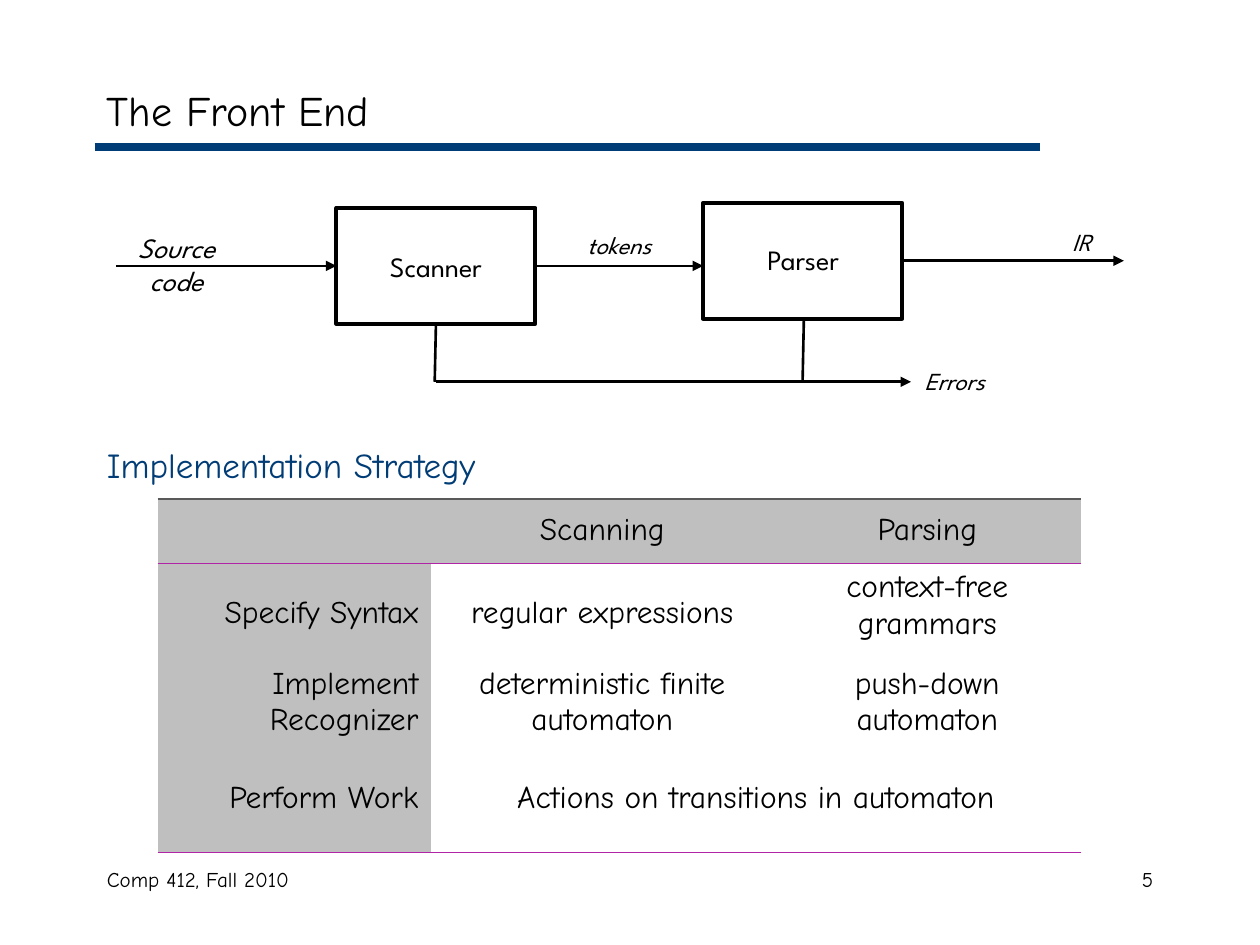
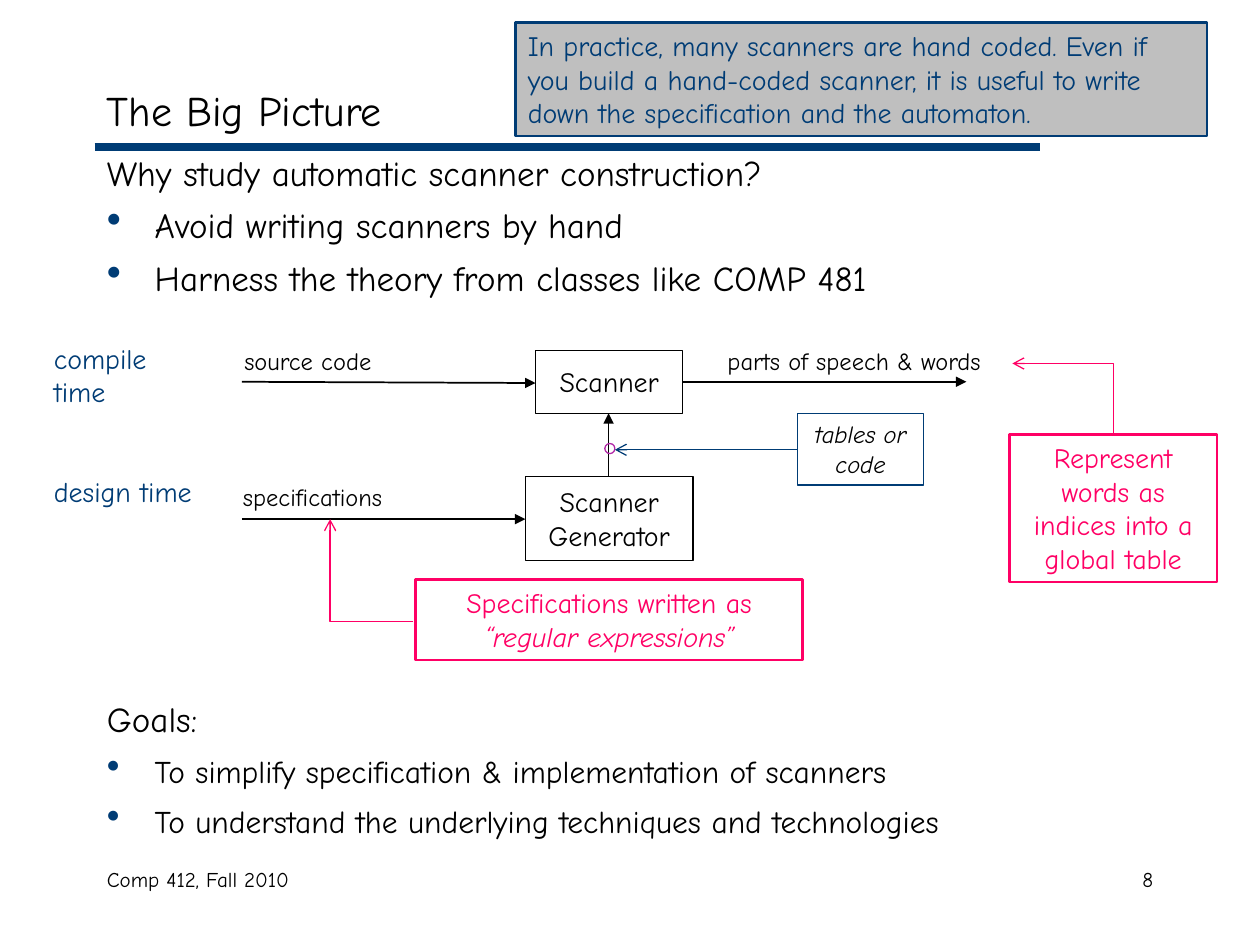
from dataclasses import dataclass
from typing import Optional

from lxml.etree import SubElement
from pptx import Presentation
from pptx.dml.color import RGBColor
from pptx.enum.shapes import MSO_CONNECTOR, MSO_SHAPE
from pptx.enum.text import MSO_ANCHOR, PP_ALIGN
from pptx.oxml.ns import qn
from pptx.util import Inches, Pt

BLACK = RGBColor(0x00, 0x00, 0x00)
WHITE = RGBColor(0xFF, 0xFF, 0xFF)
GRAY = RGBColor(0xBF, 0xBF, 0xBF)
DARK_GRAY = RGBColor(0x59, 0x59, 0x59)
NAVY = RGBColor(0x00, 0x3C, 0x75)
PINK = RGBColor(0xFF, 0x00, 0x65)
PURPLE = RGBColor(0xB0, 0x25, 0xA6)

HAND = "Comic Neue"
GEOMETRIC = "League Spartan"
LEFT, CENTER, RIGHT = PP_ALIGN.LEFT, PP_ALIGN.CENTER, PP_ALIGN.RIGHT


@dataclass
class Label:
    """Text in a box; each line is a paragraph."""
    text: str
    left: float
    top: float
    width: float
    height: float
    size: float = 16
    font: str = HAND
    color: RGBColor = BLACK
    align: PP_ALIGN = LEFT
    anchor: MSO_ANCHOR = MSO_ANCHOR.TOP
    italic: bool = False
    wrap: bool = True


@dataclass
class Box(Label):
    """A label with an outline and perhaps a fill."""
    line: RGBColor = BLACK
    weight: float = 0.75
    fill: Optional[RGBColor] = None
    shape: MSO_SHAPE = MSO_SHAPE.RECTANGLE


@dataclass
class Link:
    x1: float
    y1: float
    x2: float
    y2: float
    color: RGBColor = BLACK
    weight: float = 1
    head: Optional[str] = "triangle"
    turn: Optional[int] = None  # rotation of a one-bend connector


def style(paragraph, size: float, font: str = HAND, color: RGBColor = BLACK,
          italic: bool = False) -> None:
    paragraph.font.size = Pt(size)
    paragraph.font.name = font
    paragraph.font.color.rgb = color
    paragraph.font.italic = italic


def write(frame, label: Label) -> None:
    frame.word_wrap = label.wrap
    frame.vertical_anchor = label.anchor
    for i, line in enumerate(label.text.split("\n")):
        paragraph = frame.paragraphs[0] if i == 0 else frame.add_paragraph()
        paragraph.add_run().text = line
        paragraph.alignment = label.align
        style(paragraph, label.size, label.font, label.color, label.italic)


def bounds(label: Label) -> list:
    return [Inches(v) for v in (label.left, label.top, label.width, label.height)]


def draw_label(slide, label: Label) -> None:
    write(slide.shapes.add_textbox(*bounds(label)).text_frame, label)


def draw_box(slide, box: Box):
    shape = slide.shapes.add_shape(box.shape, *bounds(box))
    shape.shadow.inherit = False
    if box.fill is None:
        shape.fill.background()
    else:
        shape.fill.solid()
        shape.fill.fore_color.rgb = box.fill
    shape.line.color.rgb = box.line
    shape.line.width = Pt(box.weight)
    if box.text:
        write(shape.text_frame, box)
    return shape


def draw_link(slide, link: Link) -> None:
    kind = MSO_CONNECTOR.STRAIGHT if link.turn is None else MSO_CONNECTOR.ELBOW
    connector = slide.shapes.add_connector(
        kind, *(Inches(v) for v in (link.x1, link.y1, link.x2, link.y2)))
    connector.line.color.rgb = link.color
    connector.line.width = Pt(link.weight)
    properties = connector.element.spPr
    if link.turn is not None:
        properties.find(qn("a:prstGeom")).set("prst", "bentConnector2")
        properties.find(qn("a:xfrm")).set("rot", str(link.turn * 60000))
    if link.head:
        SubElement(properties.find(qn("a:ln")), qn("a:tailEnd"), type=link.head)
    SubElement(properties, qn("a:effectLst"))


def draw_all(slide, parts: list) -> None:
    for part in parts:
        if isinstance(part, Link):
            draw_link(slide, part)
        elif isinstance(part, Box):
            draw_box(slide, part)
        else:
            draw_label(slide, part)


def add_slide(deck, title: str, number: int):
    """Start a slide with the shared title, rule and footer."""
    slide = deck.slides.add_slide(deck.slide_layouts[6])
    draw_all(slide, [
        Link(0.75, 1.17, 8.25, 1.17, NAVY, 4.5, None),
        Label("Comp 412, Fall 2010", 0.75, 6.83, 4.08, 0.5, 12),
        Label(str(number), 7.17, 6.83, 2.08, 0.5, 12, align=RIGHT),
        Label(title, 0.75, 0.58, 8.5, 0.58, 24, anchor=MSO_ANCHOR.MIDDLE),
    ])
    return slide


def add_bullets(slide, top: float, heading: str, items: list[str],
                size: float, gap: float) -> None:
    box = slide.shapes.add_textbox(Inches(0.75), Inches(top), Inches(8.5), Inches(1.3))
    frame = box.text_frame
    frame.word_wrap = True
    frame.text = heading
    style(frame.paragraphs[0], 20)
    for item in items:
        paragraph = frame.add_paragraph()
        paragraph.text = item
        properties = paragraph._p.get_or_add_pPr()
        properties.set("marL", str(Inches(0.38)))
        properties.set("indent", str(-Inches(0.38)))
        bullet_color = SubElement(properties, qn("a:buClr"))
        SubElement(bullet_color, qn("a:srgbClr"), val=str(NAVY))
        SubElement(properties, qn("a:buSzPct"), val="120000")
        SubElement(properties, qn("a:buChar"), char="•")
        paragraph.space_before = Pt(gap)
        style(paragraph, size)


def set_borders(cell, rules: dict) -> None:
    """Draw the given (colour, weight) sides and clear the others."""
    properties = cell._tc.get_or_add_tcPr()
    for side in ("lnL", "lnR", "lnT", "lnB"):
        if side in rules:
            color, weight = rules[side]
            line = SubElement(properties, qn(f"a:{side}"), w=str(Pt(weight)))
            fill = SubElement(line, qn("a:solidFill"))
            SubElement(fill, qn("a:srgbClr"), val=str(color))
        else:
            SubElement(SubElement(properties, qn(f"a:{side}"), w="0"), qn("a:noFill"))


def add_strategy_table(slide) -> None:
    # Each cell holds its text and line spacing
    rows = [
        [("", 1), ("Scanning", 1.2), ("Parsing", 1.2)],
        [("Specify Syntax", 1.7), ("regular expressions", 1.7),
         ("context-free grammars", 1)],
        [("Implement Recognizer", 1), ("deterministic finite automaton", 1),
         ("push-down automaton", 1)],
        [("Perform Work", 1.5), ("Actions on transitions in automaton", 1.5), ("", 1)],
    ]
    thin, thick = (PURPLE, 0.75), (PURPLE, 1.08)
    rules = [{"lnT": (DARK_GRAY, 0.75), "lnB": thin}, {"lnT": thin}, {}, {"lnB": thick}]
    table = slide.shapes.add_table(4, 3, Inches(1.25), Inches(3.96),
                                   Inches(7.33), Inches(2.81)).table
    table.first_row = table.horz_banding = False
    for column, width in zip(table.columns, (2.17, 2.72, 2.44)):
        column.width = Inches(width)
    for r, row in enumerate(rows):
        table.rows[r].height = Inches(0.51 if r == 0 else 0.765)
        for c, (text, spacing) in enumerate(row):
            cell = table.cell(r, c)
            set_borders(cell, rules[r])
            cell.fill.solid()
            cell.fill.fore_color.rgb = GRAY if r == 0 or c == 0 else WHITE
            if text:
                cell.text = text
                paragraph = cell.text_frame.paragraphs[0]
                paragraph.alignment = RIGHT if c == 0 else CENTER
                paragraph.line_spacing = spacing
                style(paragraph, 18)
    table.cell(3, 1).merge(table.cell(3, 2))


def add_front_end(deck) -> None:
    slide = add_slide(deck, "The Front End", 5)
    draw_label(slide, Label("Implementation Strategy", 0.75, 3.47, 8.5, 0.43, 20,
                            color=NAVY))

    def caption(text: str, left: float, top: float, width: float,
                height: float = 0.34, size: float = 14, italic: bool = True,
                align: PP_ALIGN = CENTER) -> Label:
        return Label(text, left, top, width, height, size, GEOMETRIC,
                     align=align, italic=italic, wrap=False)

    def stage(left: float, top: float) -> Box:
        return Box("", left, top, 1.58, 0.92, weight=2.25)

    def flow(*ends: float, head: Optional[str] = "triangle") -> Link:
        return Link(*ends, weight=1.5, head=head)

    # Source code through scanner and parser, with a shared error path
    draw_all(slide, [
        caption("Source\ncode", 0.97, 1.78, 0.86, 0.64, 16),
        flow(0.92, 2.11, 2.67, 2.11),
        stage(2.67, 1.65),
        caption("Scanner", 2.94, 1.93, 1.04, 0.37, 16, italic=False),
        flow(7.17, 2.07, 8.92, 2.07),
        caption("IR", 8.25, 1.75, 0.67),
        stage(5.58, 1.61),
        caption("Parser", 5.94, 1.88, 0.87, 0.37, 16, italic=False),
        flow(3.46, 2.57, 3.45, 3.03, head=None),
        flow(3.46, 3.03, 7.23, 3.03),
        caption("Errors", 7.24, 2.86, 0.78, align=LEFT),
        flow(6.38, 2.53, 6.37, 3.03, head=None),
        flow(4.25, 2.11, 5.58, 2.11),
        caption("tokens", 4.25, 1.78, 1.33),
    ])
    add_strategy_table(slide)


def add_big_picture(deck) -> None:
    slide = add_slide(deck, "The Big Picture", 8)
    add_bullets(slide, 1.15, "Why study automatic scanner construction?",
                ["Avoid writing scanners by hand",
                 "Harness the theory from classes like COMP 481"], 20, 6.2)
    add_bullets(slide, 5.49, "Goals:",
                ["To simplify specification & implementation of scanners",
                 "To understand the underlying techniques and technologies"], 18, 6.8)

    def stage(text: str, *place: float) -> Box:
        return Box(text, *place, align=CENTER, anchor=MSO_ANCHOR.MIDDLE, wrap=False)

    def callout(text: str, *place: float) -> Box:
        return Box(text, *place, color=PINK, align=CENTER, line=PINK,
                   weight=1.5, fill=WHITE)

    # Design-time and compile-time flows
    draw_all(slide, [
        stage("Scanner\nGenerator", 4.17, 3.78, 1.33, 0.67),
        Label("specifications", 1.83, 3.78, 1.58, 0.34, 14),
        Link(1.92, 4.12, 4.17, 4.12),
        Link(4.83, 3.78, 4.83, 3.28),
        stage("Scanner", 4.25, 2.78, 1.17, 0.5),
        Link(1.92, 3.03, 4.25, 3.04),
        Label("source code", 1.84, 2.7, 1.75, 0.34, 14),
        Link(5.42, 3.03, 7.67, 3.03),
        Label("parts of speech & words", 5.53, 2.7, 2.5, 0.34, 14, align=CENTER),
        Label("design time", 0.33, 3.72, 1.36, 0.37, color=NAVY),
        Label("compile time", 0.33, 2.66, 1.36, 0.64, color=NAVY),
    ])

    # Callouts and their pointers
    specification_note = draw_box(
        slide, callout("Specifications written as ", 3.3, 4.6, 3.07, 0.64))
    quoted = specification_note.text_frame.paragraphs[0].add_run()
    quoted.text = "“regular expressions”"
    quoted.font.italic = True
    draw_all(slide, [
        callout("Represent words as indices into a global table", 8.01, 3.45, 1.65, 1.17),
        Box("tables or code", 6.33, 3.28, 1, 0.57, 14, align=CENTER, italic=True,
            line=NAVY),
        Box("", 4.8, 3.52, 0.08, 0.08, line=PURPLE, shape=MSO_SHAPE.OVAL),
        Link(6.33, 3.57, 4.88, 3.57, NAVY, 0.75, "arrow"),
        Link(2.62, 4.12, 3.28, 4.93, PINK, 0.75, "arrow", 180),
        Link(8.16, 3.56, 8.71, 2.76, PINK, 0.75, "arrow", 270),
        Box("In practice, many scanners are hand coded. Even if you build a "
            "hand-coded scanner, it is useful to write down the specification "
            "and the automaton.", 4.09, 0.18, 5.49, 0.9, color=NAVY,
            line=NAVY, weight=1.5, fill=GRAY),
    ])


def main() -> None:
    deck = Presentation()
    deck.slide_width, deck.slide_height = Inches(10), Inches(7.5)
    add_front_end(deck)
    add_big_picture(deck)
    deck.save("out.pptx")


if __name__ == "__main__":
    main()
